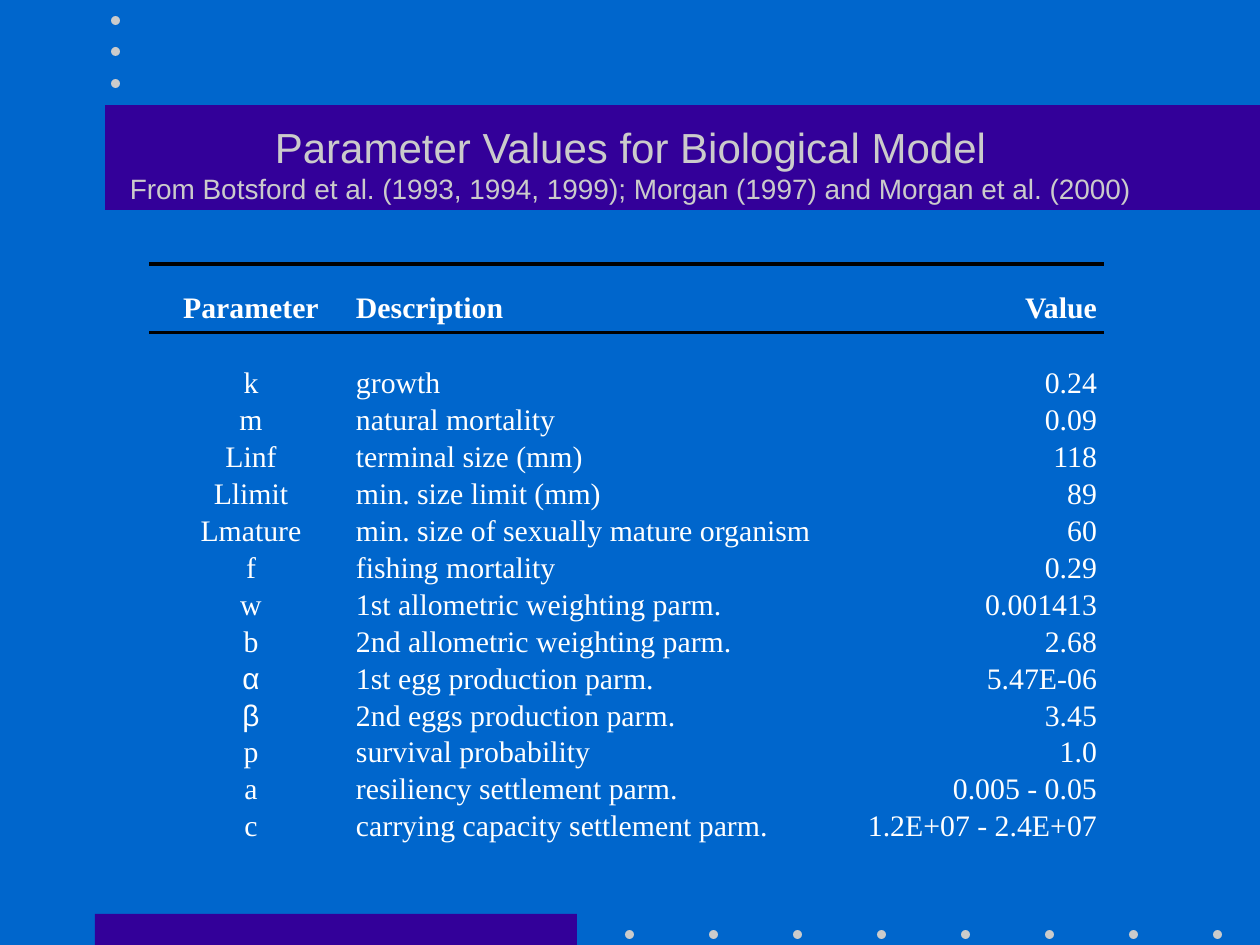
from dataclasses import dataclass

from lxml.etree import SubElement
from pptx import Presentation
from pptx.dml.color import RGBColor as Rgb
from pptx.enum.shapes import MSO_SHAPE as Preset
from pptx.enum.text import MSO_ANCHOR as Anchor, MSO_AUTO_SIZE as AutoSize, PP_ALIGN as Align
from pptx.oxml.ns import qn
from pptx.util import Emu, Pt

EMU_PER_INCH = 914400
PX_PER_INCH = 126
PLAIN_TABLE_STYLE = "{2D5ABB26-0587-4C30-8999-92F81FD0307C}"


def px(length: int) -> Emu:
    return Emu(round(length * EMU_PER_INCH / PX_PER_INCH))


@dataclass(frozen=True)
class Theme:
    background: Rgb = Rgb(0x00, 0x66, 0xCC)
    band: Rgb = Rgb(0x33, 0x00, 0x99)
    accent: Rgb = Rgb(0xCB, 0xCB, 0xCB)
    body: Rgb = Rgb(0xFF, 0xFF, 0xFF)
    rule: Rgb = Rgb(0x00, 0x00, 0x00)
    rule_width: Pt = Pt(2)
    title_size: Pt = Pt(24)
    source_size: Pt = Pt(16)
    body_size: Pt = Pt(17)
    title_font: str = "Arial"
    body_font: str = "Times New Roman"


@dataclass(frozen=True)
class Column:
    heading: str
    width: int
    align: Align
    left_margin: int = 0
    right_margin: int = 0


@dataclass(frozen=True)
class Parameter:
    symbol: str
    description: str
    value: str
    symbol_font: str = Theme.body_font


@dataclass(frozen=True)
class Ornament:
    preset: Preset
    left: int
    top: int
    width: int
    height: int
    color: Rgb


THEME = Theme()
DOT = 9
TABLE_LEFT, TABLE_TOP = 149, 264
TALL_ROW, ROW = 69, 37
HEADING_GAP, ROW_GAP = 8, 2

COLUMNS = [
    Column("Parameter", 204, Align.CENTER),
    Column("Description", 476, Align.LEFT, left_margin=3),
    Column("Value", 275, Align.RIGHT, right_margin=7),
]

PARAMETERS = [
    Parameter("k", "growth", "0.24"),
    Parameter("m", "natural mortality", "0.09"),
    Parameter("Linf", "terminal size (mm)", "118"),
    Parameter("Llimit", "min. size limit (mm)", "89"),
    Parameter("Lmature", "min. size of sexually mature organism", "60"),
    Parameter("f", "fishing mortality", "0.29"),
    Parameter("w", "1st allometric weighting parm.", "0.001413"),
    Parameter("b", "2nd allometric weighting parm.", "2.68"),
    Parameter("α", "1st egg production parm.", "5.47E-06", THEME.title_font),
    Parameter("β", "2nd eggs production parm.", "3.45", THEME.title_font),
    Parameter("p", "survival probability", "1.0"),
    Parameter("a", "resiliency settlement parm.", "0.005 - 0.05"),
    Parameter("c", "carrying capacity settlement parm.", "1.2E+07 - 2.4E+07"),
]

ORNAMENTS = [
    Ornament(Preset.RECTANGLE, 95, 914, 482, 31, THEME.band),
    *(Ornament(Preset.OVAL, 625 + 84 * i, 930, DOT, DOT, THEME.accent) for i in range(8)),
    Ornament(Preset.RECTANGLE, 105, 105, 1155, 105, THEME.band),
    *(Ornament(Preset.OVAL, 111, 16 + 63 * i // 2, DOT, DOT, THEME.accent) for i in range(3)),
]


def draw_ornament(slide, item: Ornament) -> None:
    shape = slide.shapes.add_shape(
        item.preset, px(item.left), px(item.top), px(item.width), px(item.height))
    shape.shadow.inherit = False
    shape.fill.solid()
    shape.fill.fore_color.rgb = item.color
    shape.line.fill.background()


def write_title(slide, heading: str, source: str) -> None:
    title = slide.shapes.title
    title.left, title.top, title.width, title.height = px(95), px(84), px(1071), px(158)
    frame = title.text_frame
    frame.auto_size = AutoSize.NONE
    frame.word_wrap = True
    frame.vertical_anchor = Anchor.MIDDLE
    line = frame.paragraphs[0]
    line.alignment = Align.CENTER
    line.font.size = THEME.title_size
    line.font.name = THEME.title_font
    line.font.color.rgb = THEME.accent
    line.add_run().text = heading
    line.add_line_break()
    citation = line.add_run()
    citation.text = source
    citation.font.size = THEME.source_size
    slide.shapes._spTree.append(title._element)


def add_rule(cell, side: str) -> None:
    border = SubElement(cell._tc.get_or_add_tcPr(), qn(f"a:{side}"), w=str(THEME.rule_width))
    SubElement(SubElement(border, qn("a:solidFill")), qn("a:srgbClr"), val=str(THEME.rule))


def write_cell(cell, text: str, column: Column, font: str, heading: bool) -> None:
    if heading:
        add_rule(cell, "lnT")
        add_rule(cell, "lnB")
    cell.fill.background()
    cell.vertical_anchor = Anchor.BOTTOM
    cell.margin_left, cell.margin_right = px(column.left_margin), px(column.right_margin)
    cell.margin_top, cell.margin_bottom = 0, px(HEADING_GAP if heading else ROW_GAP)
    line = cell.text_frame.paragraphs[0]
    line.text = text
    line.alignment = column.align
    line.font.size = THEME.body_size
    line.font.name = font
    line.font.bold = heading
    line.font.color.rgb = THEME.body


def draw_parameters(slide) -> None:
    heights = [TALL_ROW, TALL_ROW] + [ROW] * (len(PARAMETERS) - 1)
    table = slide.shapes.add_table(
        len(heights), len(COLUMNS), px(TABLE_LEFT), px(TABLE_TOP),
        px(sum(column.width for column in COLUMNS)), px(sum(heights))).table
    table.first_row = table.horz_banding = False
    table._tbl.tblPr.find(qn("a:tableStyleId")).text = PLAIN_TABLE_STYLE
    for row, height in zip(table.rows, heights):
        row.height = px(height)
    for index, column in enumerate(COLUMNS):
        table.columns[index].width = px(column.width)
        write_cell(table.cell(0, index), column.heading, column, THEME.body_font, True)
    for row, item in enumerate(PARAMETERS, start=1):
        entries = [(item.symbol, item.symbol_font), (item.description, THEME.body_font),
                   (item.value, THEME.body_font)]
        for index, (text, font) in enumerate(entries):
            write_cell(table.cell(row, index), text, COLUMNS[index], font, False)


def main() -> None:
    deck = Presentation()
    deck.slide_width, deck.slide_height = px(1260), px(945)
    slide = deck.slides.add_slide(deck.slide_layouts[5])
    slide.background.fill.solid()
    slide.background.fill.fore_color.rgb = THEME.background
    for item in ORNAMENTS:
        draw_ornament(slide, item)
    write_title(slide, "Parameter Values for Biological Model",
                "From Botsford et al. (1993, 1994, 1999); Morgan (1997) and Morgan et al. (2000)")
    draw_parameters(slide)
    deck.save("out.pptx")


if __name__ == "__main__":
    main()
